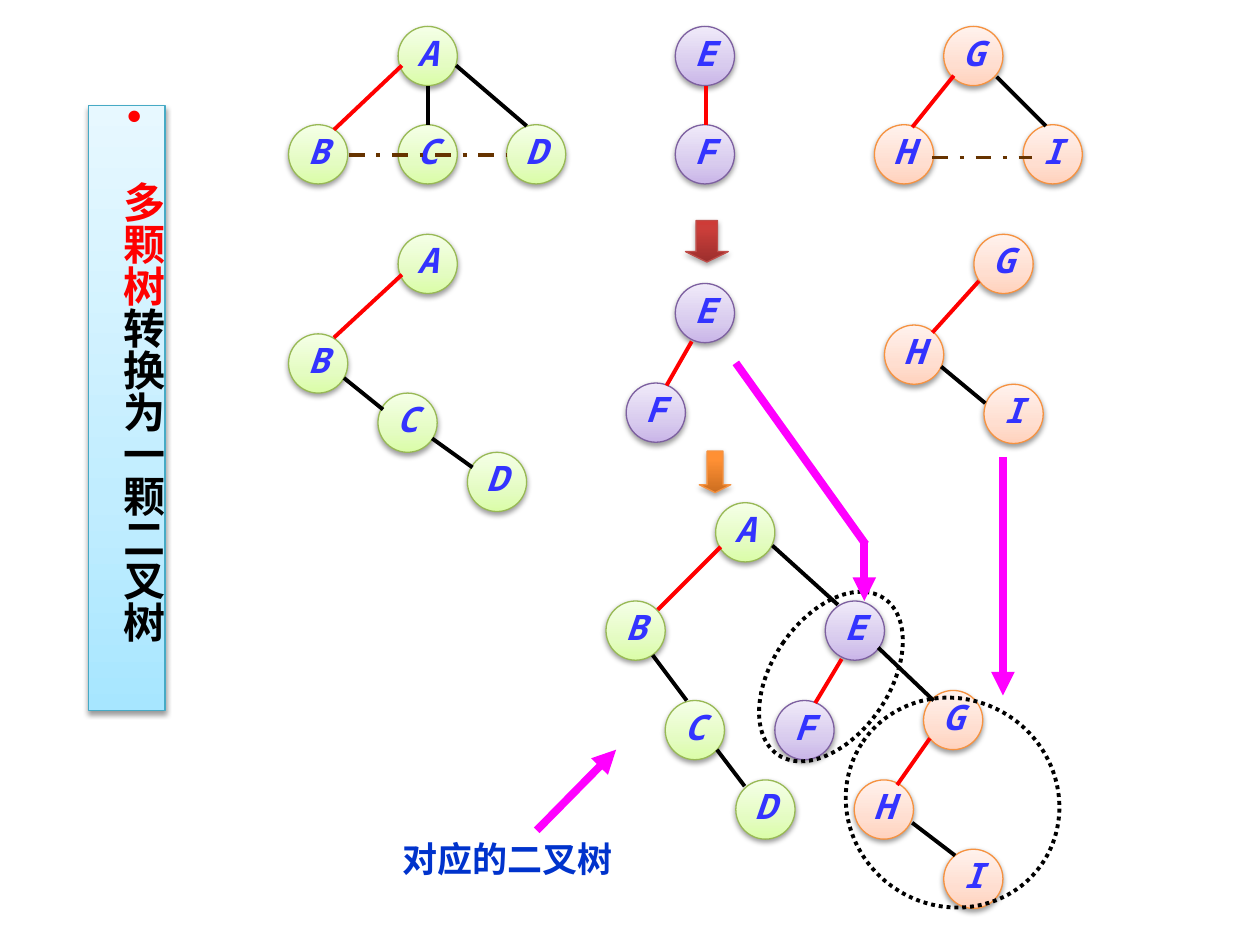
"""Slide showing how a forest of three trees becomes one binary tree."""
from lxml.etree import SubElement as Sub
from pptx import Presentation
from pptx.dml.color import RGBColor
from pptx.enum.dml import MSO_LINE as Dash
from pptx.enum.shapes import MSO_CONNECTOR as Link, MSO_SHAPE as Kind
from pptx.enum.text import MSO_ANCHOR as Anchor, PP_ALIGN as Align
from pptx.oxml.ns import qn
from pptx.util import Cm, Pt

MONO, HAN = "Noto Sans Mono", "Noto Sans CJK SC"
RED, BLACK, PINK, BROWN = "FF0000", "000000", "FF00FF", "663300"
SIZE = 0.47

GREEN = (("DAFDA7", "E4FCC2", "F5FFE7"), "98B955")
VIOLET = (("C9B5E8", "D8CBEE", "F0EAF9"), "7D60A0")
ORANGE = (("FFD2BD", "FFDED0", "FFF2ED"), "F69240")
BLUE = (("A7E6FF", "C1EDFF", "E7F8FF"), "46AAC5")
SKINS = {**dict.fromkeys("ABCD", GREEN), **dict.fromkeys("EF", VIOLET),
         **dict.fromkeys("GHI", ORANGE)}

FOREST = (
    {"A": (3.16, 0.21), "B": (2.29, 0.99), "C": (3.16, 0.99),
     "D": (4.02, 0.99), "E": (5.36, 0.21), "F": (5.36, 0.99),
     "G": (7.49, 0.21), "H": (6.94, 0.99), "I": (8.12, 0.99)},
    [(3.19, 0.52, 2.65, 1.03), (5.6, 0.68, 5.6, 0.99),
     (7.57, 0.6, 7.24, 1.01)],
    [(3.4, 0.68, 3.4, 0.99), (3.62, 0.52, 4.18, 1),
     (7.91, 0.61, 8.3, 1)])
BINARY = (
    {"A": (3.16, 1.86), "B": (2.29, 2.65), "C": (3, 3.12),
     "D": (3.71, 3.59), "E": (5.36, 2.25), "F": (4.97, 3.04),
     "G": (7.73, 1.86), "H": (7.02, 2.58), "I": (7.81, 3.05)},
    [(3.19, 2.18, 2.65, 2.68), (5.49, 2.71, 5.29, 3.06),
     (7.77, 2.23, 7.4, 2.64)],
    [(2.73, 3, 3.04, 3.25), (3.43, 3.48, 3.75, 3.71),
     (7.47, 2.91, 7.82, 3.2)])
JOINED = (
    {"A": (5.68, 3.99), "B": (4.81, 4.77), "C": (5.28, 5.56),
     "D": (5.84, 6.19), "E": (6.55, 4.77), "F": (6.15, 5.56),
     "G": (7.33, 5.48), "H": (6.78, 6.19), "I": (7.49, 6.74)},
    [(5.72, 4.34, 5.22, 4.84), (6.68, 5.23, 6.47, 5.58),
     (7.38, 5.86, 7.12, 6.23)],
    [(5.18, 5.2, 5.45, 5.56), (5.69, 5.95, 5.91, 6.24),
     (6.13, 4.33, 6.65, 4.8), (6.97, 5.14, 7.41, 5.56),
     (7.24, 6.53, 7.58, 6.79)])
STEPS = [((5.44, 1.75, 0.34, 0.33), ("9C2F2D", "CB3E3A", "CE3B37"), "BF4C48"),
         ((5.55, 3.58, 0.25, 0.33), ("CC6E20", "FF9034", "FF9136"), "F69240")]
RINGS = [(6.13, 4.62, 0.93, 1.5), (6.7, 5.55, 1.72, 1.64)]
MOVES = [(6.86, 4.3, 6.86, 4.77), (7.96, 3.63, 7.96, 5.52),
         (4.26, 6.59, 4.89, 5.95)]
BEND = (6.87, 4.32, 5.84, 2.88)
PEERS = [(2.77, 1.23, 4.02, 1.23), (7.4, 1.25, 8.19, 1.25)]
BANNER = [("多颗树", RED), ("转换为一颗二叉树", BLACK)]
LABEL = "对应的二叉树"


def span(box):
    return [Cm(inch * 2.54) for inch in box]


def tint(code):
    return RGBColor.from_string(code)


def stroke(line, color, width, dash=None):
    line.color.rgb = tint(color)
    line.width = Pt(width)
    if dash:
        line.dash_style = dash


def block(slide, kind, box, skin, mid=35, alpha=38):
    shape = slide.shapes.add_shape(kind, *span(box))
    stops, edge = skin
    shape.fill.gradient()
    shape.fill.gradient_angle = 90
    props = shape.element.spPr
    ramp = props.find(qn("a:gradFill")).find(qn("a:gsLst"))
    ramp.clear()
    for pos, code in zip((0, mid, 100), stops):
        stop = Sub(ramp, qn("a:gs"), pos=str(pos * 1000))
        Sub(stop, qn("a:srgbClr"), val=code)
    stroke(shape.line, edge, 0.75)
    shape.shadow.inherit = False
    cast = Sub(props.find(qn("a:effectLst")), qn("a:outerShdw"),
               blurRad=str(Pt(3.1)), dist=str(Pt(1.6)), dir="5400000",
               rotWithShape="0")
    dark = Sub(cast, qn("a:srgbClr"), val=BLACK)
    Sub(dark, qn("a:alpha"), val=str(alpha * 1000))
    return shape


def write(frame, runs, size, font, slant=None):
    para = frame.paragraphs[0]
    para.alignment = Align.CENTER
    para.line_spacing = 0.8
    props = para._p.get_or_add_pPr()
    Sub(Sub(props, qn("a:spcBef")), qn("a:spcPct"), val="50000")
    for words, color in runs:
        run = para.add_run()
        run.text = words
        face = run.font
        face.size, face.name, face.bold, face.italic = Pt(size), font, True, slant
        face.color.rgb = tint(color)
        Sub(run._r.get_or_add_rPr(), qn("a:ea"), typeface=HAN)
    return props


def link(slide, ends, color, width=2.25, dash=None, head=False):
    wire = slide.shapes.add_connector(Link.STRAIGHT, *span(ends))
    stroke(wire.line, color, width, dash)
    if head:
        Sub(wire.line._get_or_add_ln(), qn("a:tailEnd"), type="triangle")
    Sub(wire.element.spPr, qn("a:effectLst"))


def grow(slide, stage):
    nodes, first, rest = stage
    for name, (left, top) in nodes.items():
        ball = block(slide, Kind.OVAL, (left, top, SIZE, SIZE), SKINS[name])
        frame = ball.text_frame
        frame.word_wrap = False
        frame.vertical_anchor = Anchor.MIDDLE
        write(frame, [(name, "3333FF")], 20, MONO, True)
    for color, edges in ((RED, first), (BLACK, rest)):
        for ends in edges:
            link(slide, ends, color)


def main():
    deck = Presentation()
    deck.slide_width, deck.slide_height = span((10, 7.5))
    slide = deck.slides.add_slide(deck.slide_layouts[6])
    for stage in (FOREST, BINARY, JOINED):
        grow(slide, stage)
    for box, stops, edge in STEPS:
        arrow = block(slide, Kind.DOWN_ARROW, box, (stops, edge), 80, 35)
        arrow.adjustments[0], arrow.adjustments[1] = 0.5, 0.25
    for box in RINGS:
        ring = slide.shapes.add_shape(Kind.OVAL, *span(box))
        ring.rotation = 34.2
        ring.fill.background()
        ring.shadow.inherit = False
        stroke(ring.line, BLACK, 2.25, Dash.ROUND_DOT)
    link(slide, BEND, PINK, 4.5)
    for ends in MOVES:
        link(slide, ends, PINK, 4.5, head=True)

    panel = block(slide, Kind.RECTANGLE, (0.7, 0.84, 0.61, 4.8), BLUE)
    frame = panel.text_frame
    frame.word_wrap = True
    frame.vertical_anchor = Anchor.TOP
    frame._txBody.bodyPr.set("vert", "eaVert")
    props = write(frame, BANNER, 24, HAN)
    indent = Cm(1.27)
    props.set("marL", str(indent))
    props.set("indent", str(-indent))
    Sub(props, qn("a:buFont"), typeface="Arial")
    Sub(props, qn("a:buChar"), char="•")

    label = slide.shapes.add_textbox(*span((2.69, 6.66, 2.68, 0.44)))
    label.text_frame.word_wrap = True
    write(label.text_frame, [(LABEL, "0033CC")], 20, MONO)
    for ends in PEERS:
        link(slide, ends, BROWN, dash=Dash.DASH_DOT)
    deck.save("out.pptx")


if __name__ == "__main__":
    main()
